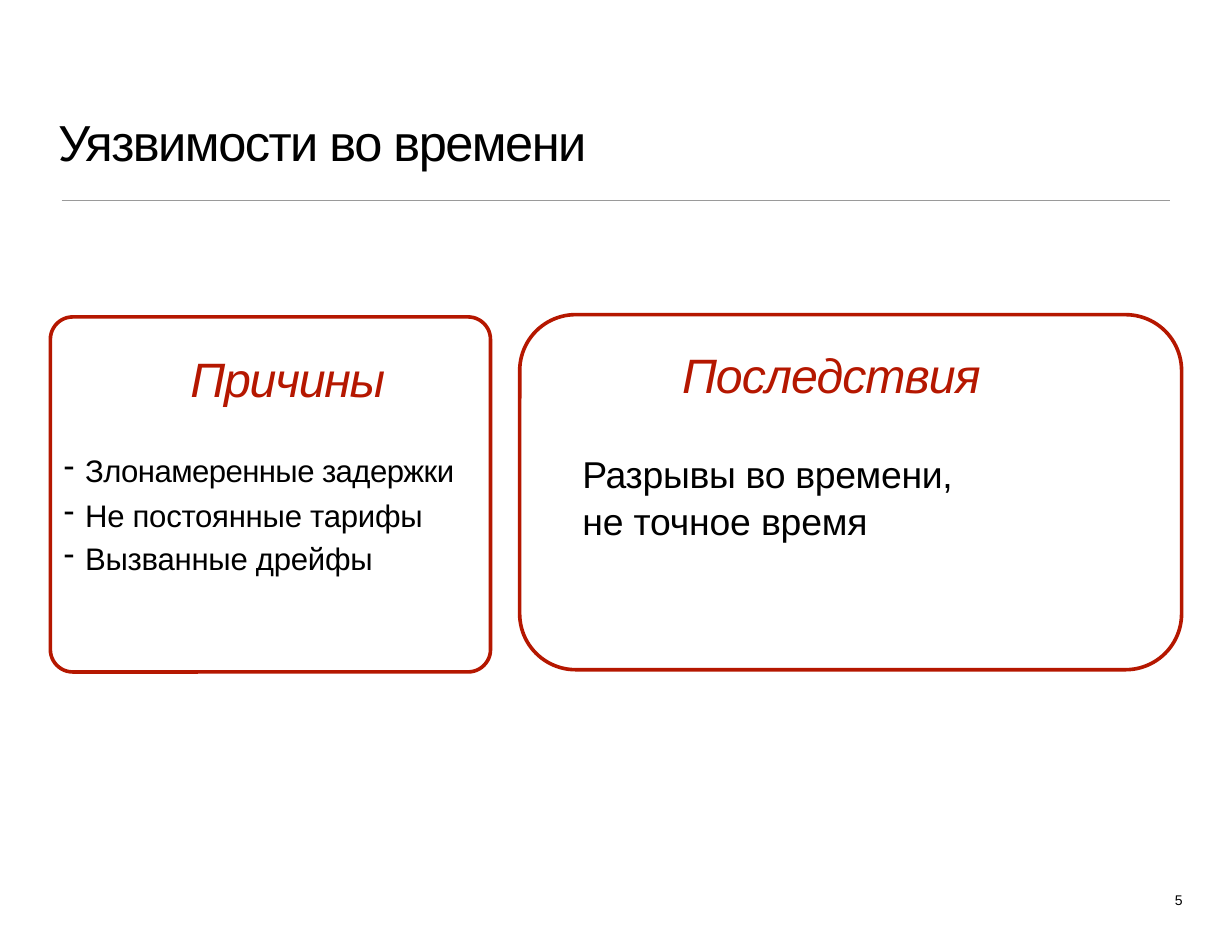
"""Builds the slide on time vulnerabilities: causes beside consequences."""
from lxml.etree import SubElement
from pptx import Presentation
from pptx.dml.color import RGBColor
from pptx.enum.shapes import MSO_CONNECTOR, MSO_SHAPE
from pptx.enum.text import MSO_ANCHOR, MSO_AUTO_SIZE, PP_ALIGN
from pptx.oxml.ns import qn
from pptx.util import Inches, Pt

BLACK = RGBColor(0x00, 0x00, 0x00)
RED = RGBColor(0xB5, 0x17, 0x00)
GRAY = RGBColor(0x9A, 0x9A, 0x9A)

BODY = dict(size=20, color=BLACK)
HEADING = dict(size=31, color=RED, italic=True, before=0.9)
BULLET = dict(BODY, indent=0.21, hanging=0.19, bullet="-")
EFFECT = dict(size=24, color=BLACK, before=0.6, line_spacing=1.02, indent=0.01)

TITLE = ("Уязвимости во времени",
         dict(size=32.5, color=BLACK, before=0.9, spacing=-1, indent=0.01))
TITLE_AREA = (0.51, 0.98, 6.49, 0.56)
RULE = (0.55, 1.79, 10.45, 1.79)
PANELS = [
    ((0.45, 2.83, 3.93, 3.17), 0.2),
    ((4.64, 2.81, 5.91, 3.17), 0.5),
]
TEXTS = [
    ((0.55, 3.11, 3.68, 2.06), 0.01, [
        ("Причины", dict(HEADING, indent=1.15, spacing=-0.8)),
        ("Злонамеренные задержки", dict(BULLET, before=28.1, spacing=-0.4)),
        ("Не постоянные тарифы", dict(BULLET, before=4.9, spacing=-0.2)),
        ("Вызванные дрейфы", dict(BULLET, before=4.1, spacing=-0.2)),
    ]),
    ((6.08, 3.07, 2.87, 0.53), 0.01, [
        ("Последствия", dict(HEADING, indent=0.01, spacing=-0.6)),
    ]),
    ((5.19, 4.01, 4.67, 0.82), 0.01, [
        ("Разрывы во времени,", dict(EFFECT, spacing=-0.2)),
        ("не точное время", dict(EFFECT, spacing=-0.1)),
    ]),
    ((10.39, 7.92, 0.29, 0.2), 0.04, [
        ("5", dict(size=9, color=BLACK, before=2.8, indent=0.1, spacing=0.1)),
    ]),
]


def inches(values):
    return [Inches(value) for value in values]


def format_paragraph(paragraph, text, size, color, before, spacing, indent=0,
                     hanging=0, bullet=None, italic=False, line_spacing=1.0):
    paragraph.text = text
    paragraph.alignment = PP_ALIGN.LEFT
    paragraph.space_before = Pt(before)
    paragraph.line_spacing = line_spacing
    properties = paragraph._p.get_or_add_pPr()
    properties.set("marL", str(Inches(indent)))
    properties.set("indent", str(-Inches(hanging)))
    if bullet:
        SubElement(properties, qn("a:buChar")).set("char", bullet)
    font = paragraph.font
    font.name = "Arial"
    font.size = Pt(size)
    font.italic = italic
    font.color.rgb = color
    properties.find(qn("a:defRPr")).set("spc", str(round(spacing * 100)))


def fill_frame(frame, top_inset, paragraphs):
    frame.word_wrap = True
    frame.auto_size = MSO_AUTO_SIZE.NONE
    frame.vertical_anchor = MSO_ANCHOR.TOP
    frame.margin_left = frame.margin_right = frame.margin_bottom = 0
    frame.margin_top = Inches(top_inset)
    for index, (text, style) in enumerate(paragraphs):
        paragraph = frame.add_paragraph() if index else frame.paragraphs[0]
        format_paragraph(paragraph, text, **style)


def add_panel(slide, area, radius):
    panel = slide.shapes.add_shape(MSO_SHAPE.ROUNDED_RECTANGLE, *inches(area))
    panel.adjustments[0] = radius / min(area[2:])
    panel.shadow.inherit = False
    panel.fill.background()
    panel.line.color.rgb = RED
    panel.line.width = Pt(2.32)


def add_rule(slide):
    rule = slide.shapes.add_connector(MSO_CONNECTOR.STRAIGHT, *inches(RULE))
    rule.line.color.rgb = GRAY
    rule.line.width = Pt(0.77)
    SubElement(rule._element.spPr, qn("a:effectLst"))


def main():
    presentation = Presentation()
    presentation.slide_width = Inches(11)
    presentation.slide_height = Inches(8.5)
    slide = presentation.slides.add_slide(presentation.slide_layouts[5])

    title = slide.shapes.title
    title.left, title.top, title.width, title.height = inches(TITLE_AREA)
    fill_frame(title.text_frame, 0.01, [TITLE])

    add_rule(slide)
    for area, radius in PANELS:
        add_panel(slide, area, radius)
    for area, top_inset, paragraphs in TEXTS:
        box = slide.shapes.add_textbox(*inches(area))
        fill_frame(box.text_frame, top_inset, paragraphs)

    presentation.save("out.pptx")


if __name__ == "__main__":
    main()
